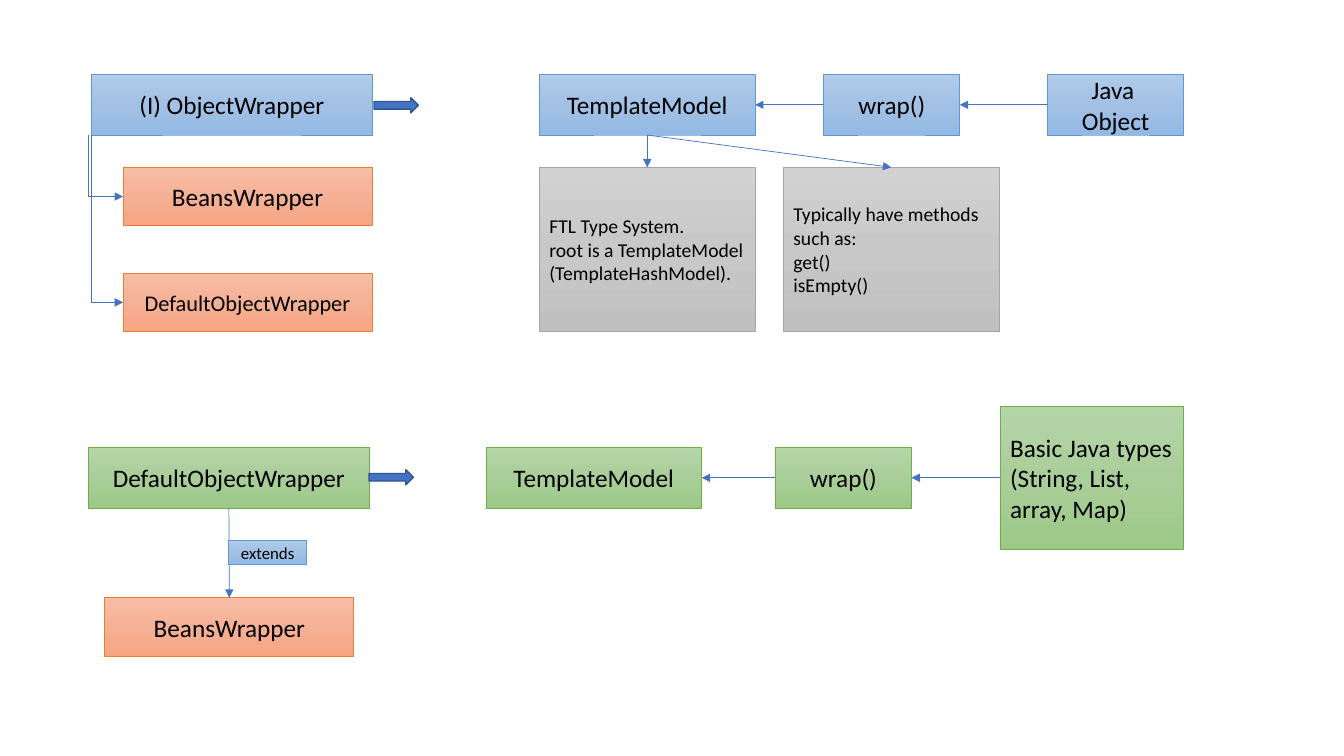
import copy

from lxml import etree
from pptx import Presentation
from pptx import util as u
from pptx.dml.color import RGBColor
from pptx.enum import shapes, text
from pptx.oxml.ns import qn

COLORS = {"arrow": "4472C4", "arrow_edge": "325491", "text": "000000"}
# Each box style: outline, then gradient from top through middle to bottom
BOXES = {
    "blue": ("5B9BD5", "B1CBE9", "A3C1E5", "93B9E4"),
    "orange": ("ED7D31", "F7BDA5", "F5B196", "F8A582"),
    "gray": ("A5A5A5", "D2D2D2", "C8C8C8", "C0C0C0"),
    "green": ("70AD47", "B5D5A7", "AACE9A", "9CC987"),
}
TOP, LEFT, BOTTOM, RIGHT = range(4)
CENTER, FLUSH = text.PP_ALIGN.CENTER, text.PP_ALIGN.LEFT


def rgb(color):
    return RGBColor.from_string(color)


class Diagram:
    font = "Calibri"

    def __init__(self, slide):
        self.s = slide

    def shape(self, kind, x, y, w, h, edge, weight):
        sp = self.s.shapes.add_shape(kind, *map(u.Inches, (x, y, w, h)))
        sp.shadow.inherit = False
        sp.line.color.rgb = rgb(edge)
        sp.line.width = u.Pt(weight)
        return sp

    def box(self, label, style, x, y, w, h, size=18, align=CENTER):
        edge, *shades = BOXES[style]
        sp = self.shape(shapes.MSO_SHAPE.RECTANGLE, x, y, w, h, edge, 0.5)
        self.shade(sp, shades)
        tf = sp.text_frame
        tf.word_wrap = True
        tf.vertical_anchor = text.MSO_ANCHOR.MIDDLE
        tf.text = label
        for p in tf.paragraphs:
            p.alignment = align
            p.font.name = self.font
            p.font.size = u.Pt(size)
            p.font.color.rgb = rgb(COLORS["text"])
        return sp

    def shade(self, sp, shades):
        """Fill with a three-stop gradient running downwards."""
        sp.fill.gradient()
        sp.fill.gradient_angle = 270
        stops = sp.element.spPr.find(".//" + qn("a:gsLst"))
        stops.insert(1, copy.deepcopy(stops[0]))
        for i, (stop, color) in enumerate(zip(sp.fill.gradient_stops, shades)):
            stop.position = i / 2
            stop.color.rgb = rgb(color)

    def block_arrow(self, x, y):
        sp = self.shape(shapes.MSO_SHAPE.RIGHT_ARROW, x, y, 0.44, 0.15,
                        COLORS["arrow_edge"], 1)
        sp.fill.solid()
        sp.fill.fore_color.rgb = rgb(COLORS["arrow"])

    def connector(self, kind, x1=0, y1=0, x2=0, y2=0):
        c = self.s.shapes.add_connector(kind, *map(u.Inches, (x1, y1, x2, y2)))
        c.line.color.rgb = rgb(COLORS["arrow"])
        c.line.width = u.Pt(0.5)
        etree.SubElement(c.line._get_or_add_ln(), qn("a:tailEnd"), type="triangle")
        etree.SubElement(c.element.spPr, qn("a:effectLst"))
        return c

    def arrow(self, start, start_side, end, end_side):
        c = self.connector(shapes.MSO_CONNECTOR.STRAIGHT)
        c.begin_connect(start, start_side)
        c.end_connect(end, end_side)

    def elbow(self, x, y, drop, run):
        """Arrow going down by drop, then right by run."""
        left, top = x + (run - drop) / 2, y + (drop - run) / 2
        c = self.connector(shapes.MSO_CONNECTOR.ELBOW,
                           left, top, left + drop, top + run)
        spPr = c.element.spPr
        spPr.find(qn("a:prstGeom")).set("prst", "bentConnector2")
        xfrm = spPr.find(qn("a:xfrm"))
        xfrm.set("rot", str(270 * 60000))
        xfrm.set("flipH", "1")


def interface_part(d):
    wrapper_y, row_h = 0.74, 0.6
    d.box("(I) ObjectWrapper", "blue", 0.91, wrapper_y, 2.78, row_h)
    wrap = d.box("wrap()", "blue", 8.17, wrapper_y, 1.35, row_h)
    java = d.box("Java \nObject", "blue", 10.39, wrapper_y, 1.35, row_h)
    model = d.box("TemplateModel", "blue", 5.35, wrapper_y, 2.14, row_h)
    d.arrow(java, LEFT, wrap, RIGHT)
    d.arrow(wrap, LEFT, model, RIGHT)

    for label, y, size, stem_x in (("BeansWrapper", 1.66, 18, 0.88),
                                   ("DefaultObjectWrapper", 2.71, 16, 0.91)):
        d.box(label, "orange", 1.22, y, 2.47, 0.58, size)
        d.elbow(stem_x, 1.34, y + 0.29 - 1.34, 1.22 - stem_x)
    d.block_arrow(3.71, 0.97)

    notes = (
        (5.35, "FTL Type System.\nroot is a TemplateModel (TemplateHashModel)."),
        (7.77, "Typically have methods such as:\nget()\nisEmpty()"),
    )
    for x, label in notes:
        note = d.box(label, "gray", x, 1.66, 2.14, 1.63, 14, FLUSH)
        d.arrow(model, BOTTOM, note, TOP)


def default_part(d):
    row_y, row_h = 4.44, 0.6
    default = d.box("DefaultObjectWrapper", "green", 0.88, row_y, 2.78, row_h)
    d.block_arrow(3.66, 4.66)
    model = d.box("TemplateModel", "green", 4.82, row_y, 2.14, row_h)
    wrap = d.box("wrap()", "green", 7.69, row_y, 1.35, row_h)
    types = d.box("Basic Java types\n(String, List, array, Map)", "green",
                  9.92, 4.03, 1.82, 1.42, align=FLUSH)
    d.arrow(types, LEFT, wrap, RIGHT)
    d.arrow(wrap, LEFT, model, RIGHT)

    beans = d.box("BeansWrapper", "orange", 1.04, 5.93, 2.47, 0.58)
    d.arrow(default, BOTTOM, beans, TOP)
    d.box("extends", "blue", 2.27, 5.36, 0.77, 0.24, 12)


def main():
    prs = Presentation()
    prs.slide_width, prs.slide_height = u.Inches(13.33), u.Inches(7.5)
    d = Diagram(prs.slides.add_slide(prs.slide_layouts[6]))
    interface_part(d)
    default_part(d)
    prs.save("out.pptx")


if __name__ == "__main__":
    main()
